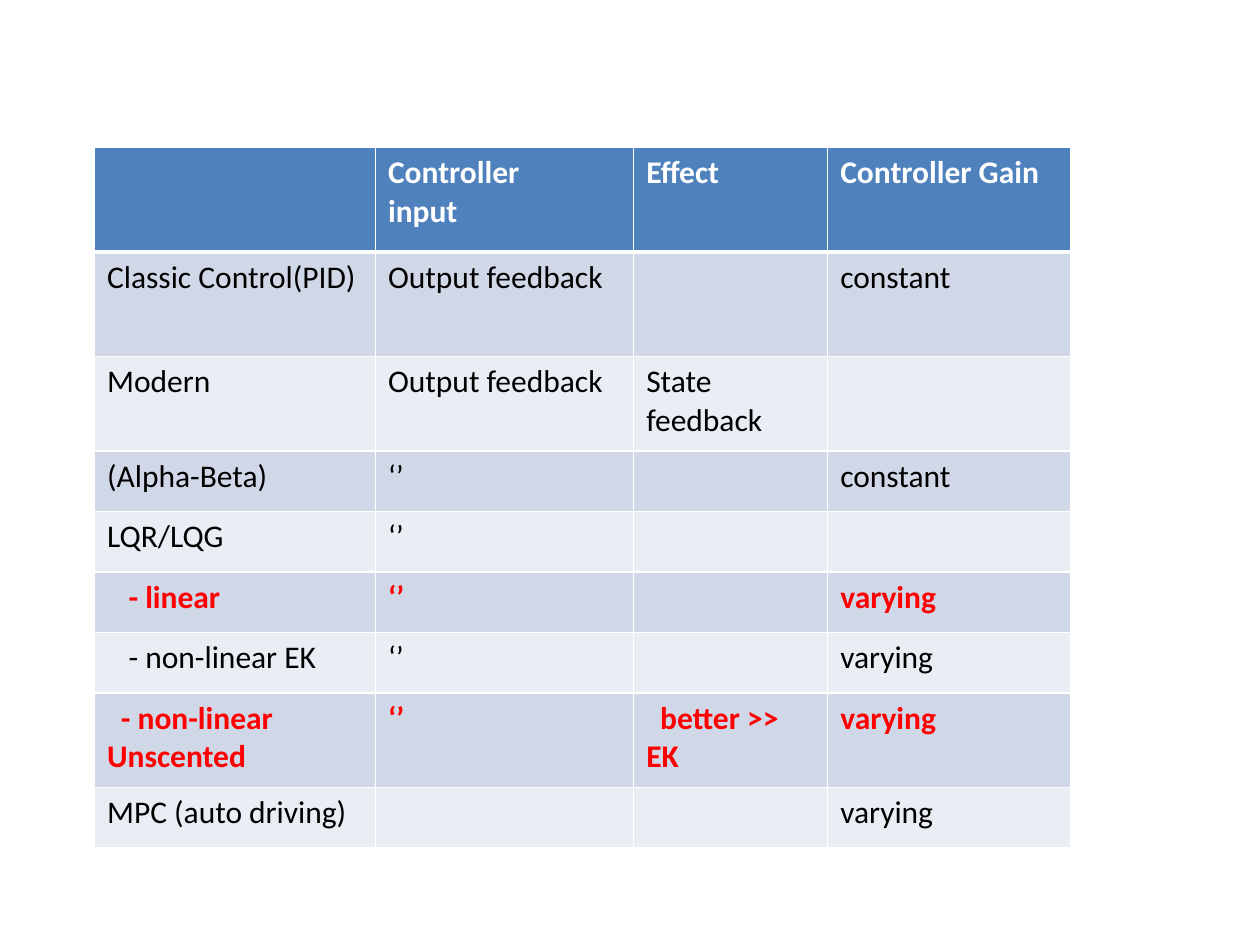
from lxml import etree
from pptx import Presentation
from pptx.dml.color import RGBColor
from pptx.oxml.ns import qn
from pptx.util import Inches, Pt

WHITE = RGBColor(0xFF, 0xFF, 0xFF)
BLACK = RGBColor(0x00, 0x00, 0x00)
RED = RGBColor(0xFF, 0x00, 0x00)
HEADER_BLUE = RGBColor(0x4F, 0x81, 0xBD)
BANDS = [RGBColor(0xE9, 0xED, 0xF4), RGBColor(0xD0, 0xD8, 0xE8)]

COLUMN_WIDTHS = [2.23, 2.05, 1.54, 1.93]
ROW_HEIGHTS = [0.83, 0.83, 0.75, 0.48, 0.48, 0.48, 0.48, 0.75, 0.48]
ROWS = [
    ["", "Controller\ninput", "Effect", "Controller Gain"],
    ["Classic Control(PID)", "Output feedback", "", "constant"],
    ["Modern", "Output feedback", "State feedback", ""],
    ["(Alpha-Beta)", "‘’", "", "constant"],
    ["LQR/LQG", "‘’", "", ""],
    ["- linear", "‘’", "", "varying"],
    ["- non-linear EK", "‘’", "", "varying"],
    ["- non-linear Unscented", "‘’", "better >> EK", "varying"],
    ["MPC (auto driving)", "", "", "varying"],
]
RED_ROWS = {5, 7}
FIRST_LINE_INDENTS = {(5, 0): 0.17, (6, 0): 0.17, (7, 0): 0.11, (7, 2): 0.11}


def add_borders(cell, bottom_width):
    """Draw white cell edges, 1 pt except for the bottom one."""
    properties = cell._tc.get_or_add_tcPr()
    widths = {"a:lnL": 1, "a:lnR": 1, "a:lnT": 1, "a:lnB": bottom_width}
    for position, (edge, width) in enumerate(widths.items()):
        line = etree.Element(qn(edge), w=str(Pt(width)))
        fill = etree.SubElement(line, qn("a:solidFill"))
        etree.SubElement(fill, qn("a:srgbClr"), val=str(WHITE))
        properties.insert(position, line)


deck = Presentation()
deck.slide_width, deck.slide_height = Inches(10), Inches(7.5)
page = deck.slides.add_slide(deck.slide_layouts[6])

table = page.shapes.add_table(
    len(ROWS), len(COLUMN_WIDTHS), Inches(0.75), Inches(1.17),
    Inches(sum(COLUMN_WIDTHS)), Inches(sum(ROW_HEIGHTS))).table
for column, width in zip(table.columns, COLUMN_WIDTHS):
    column.width = Inches(width)
for row, height in zip(table.rows, ROW_HEIGHTS):
    row.height = Inches(height)

for r, words in enumerate(ROWS):
    is_header = r == 0
    color = WHITE if is_header else RED if r in RED_ROWS else BLACK
    font_format = {"name": "Calibri", "size": Pt(18),
                   "bold": is_header or r in RED_ROWS}
    for c, content in enumerate(words):
        cell = table.cell(r, c)
        cell.fill.solid()
        cell.fill.fore_color.rgb = HEADER_BLUE if is_header else BANDS[r % 2]
        # The lower header edge meets the upper edge of the first body row.
        add_borders(cell, 3 if is_header else 1)
        cell.text = content
        for para in cell.text_frame.paragraphs:
            for name, value in font_format.items():
                setattr(para.font, name, value)
            for span in para.runs:
                for name, value in font_format.items():
                    setattr(span.font, name, value)
                span.font.color.rgb = color
            if (r, c) in FIRST_LINE_INDENTS:
                indent = Inches(FIRST_LINE_INDENTS[r, c])
                para._p.get_or_add_pPr().set("indent", str(indent))

# Leave the edge under the header to the thick header border.
for cell in table.rows[1].cells:
    properties = cell._tc.tcPr
    properties.find(qn("a:lnT")).set("w", str(Pt(3)))

deck.save("out.pptx")
